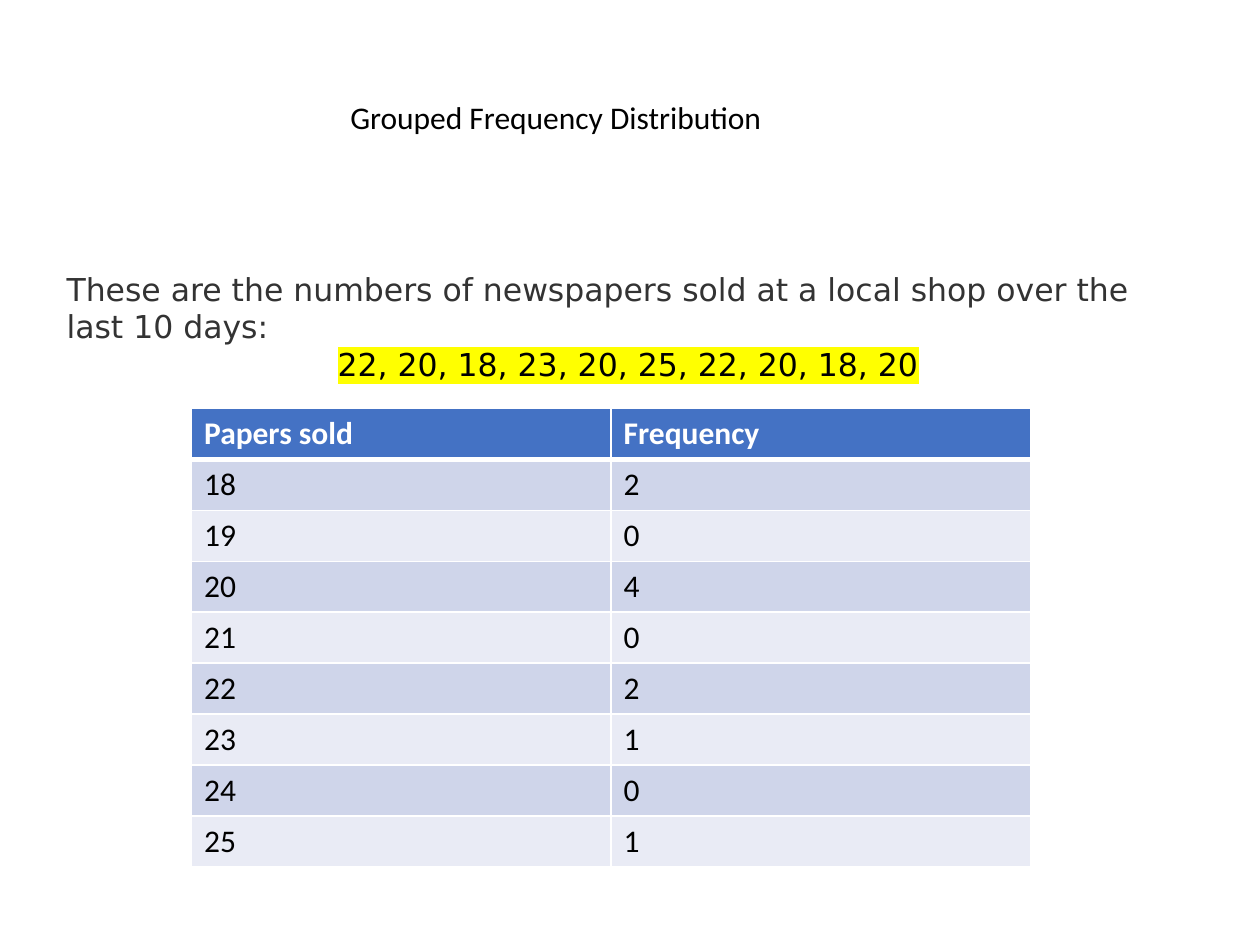
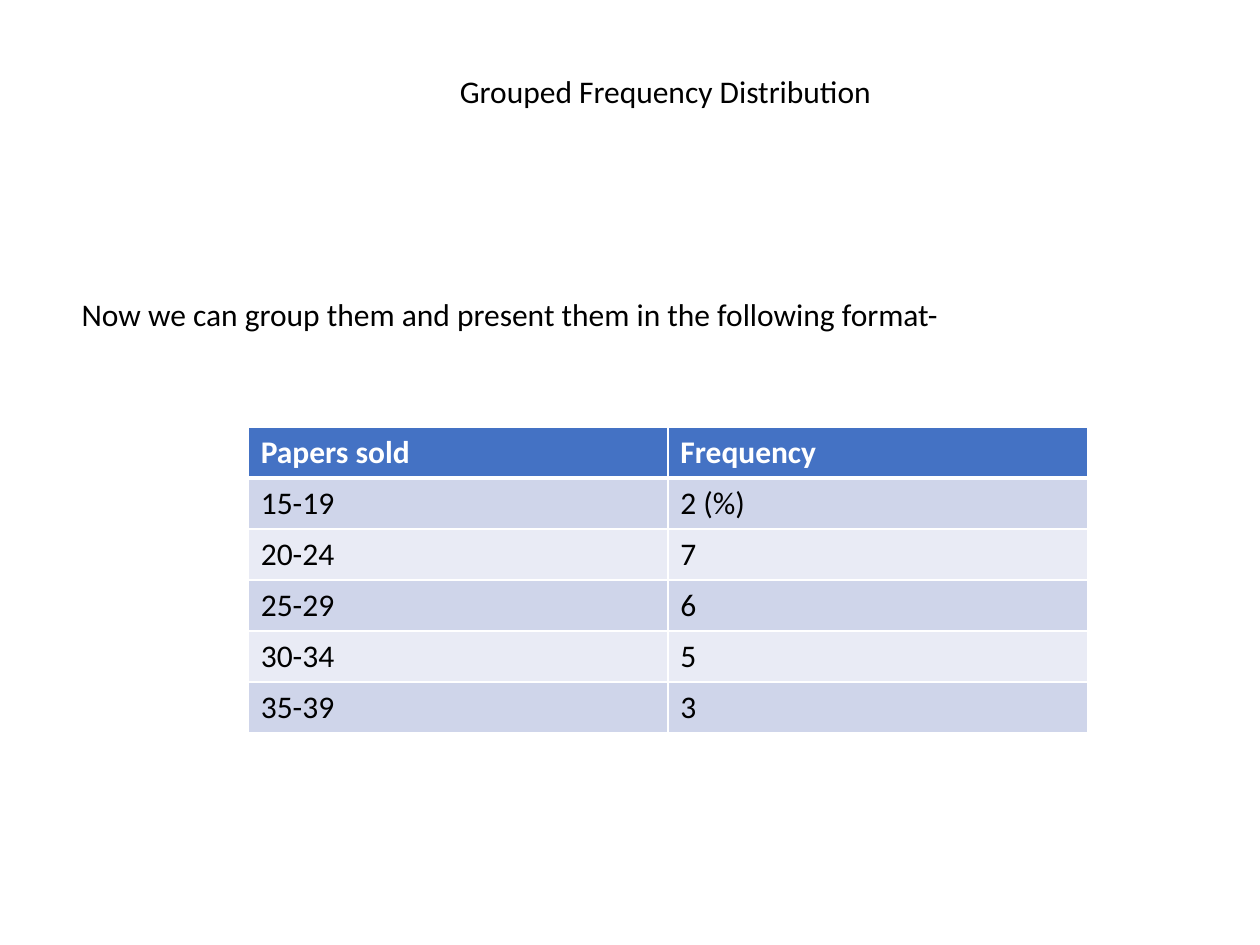
from pptx import Presentation
from pptx.dml.color import RGBColor
from pptx.enum.text import MSO_ANCHOR, MSO_AUTO_SIZE, PP_ALIGN
from pptx.oxml import parse_xml
from pptx.oxml.ns import nsdecls, qn
from pptx.util import Inches, Pt

BLACK = RGBColor(0x00, 0x00, 0x00)
DARK_GREY = RGBColor(0x33, 0x33, 0x33)
WHITE = RGBColor(0xFF, 0xFF, 0xFF)
YELLOW = RGBColor(0xFF, 0xFF, 0x00)
HEADER_BLUE = RGBColor(0x44, 0x72, 0xC4)
BANDS = (RGBColor(0xCF, 0xD5, 0xEA), RGBColor(0xE9, 0xEB, 0xF5))
TABLE_FONT = "Calibri"
INTRO_FONT = "DejaVu Sans"
TEXT_SIZE = Pt(18)
TITLE = "Grouped Frequency Distribution"
HEADINGS = ("Papers sold", "Frequency")
COLUMN_WIDTH = 3.33
ROW_HEIGHT = 0.405
TITLE_ONLY_LAYOUT = 5

DAILY_COUNTS = [("18", "2"), ("19", "0"), ("20", "4"), ("21", "0"),
                ("22", "2"), ("23", "1"), ("24", "0"), ("25", "1")]
GROUPED_COUNTS = [("15-19", "2 (%)"), ("20-24", "7"), ("25-29", "6"),
                  ("30-34", "5"), ("35-39", "3")]


def style_run(para, color, font=TABLE_FONT, bold=False):
    """Format the only run of a paragraph and return it."""
    span = para.runs[0]
    span.font.size = TEXT_SIZE
    span.font.name = font
    span.font.bold = bold
    span.font.color.rgb = color
    return span


def highlight(span, color):
    """Put a marker colour behind a run that already has a text colour."""
    mark = parse_xml(f'<a:highlight {nsdecls("a")}><a:srgbClr val="{color}"/></a:highlight>')
    span.font._element.find(qn("a:solidFill")).addnext(mark)


def add_titled_page(deck, left, top):
    """Add a page with the shared title at the given corner."""
    page = deck.slides.add_slide(deck.slide_layouts[TITLE_ONLY_LAYOUT])
    title = page.shapes.title
    title.left, title.top = Inches(left), Inches(top)
    title.width, title.height = Inches(3.51), Inches(0.4)
    frame = title.text_frame
    frame.text = TITLE
    frame.auto_size = MSO_AUTO_SIZE.NONE
    frame.vertical_anchor = MSO_ANCHOR.TOP
    frame.paragraphs[0].alignment = PP_ALIGN.LEFT
    style_run(frame.paragraphs[0], BLACK)
    return page


def add_intro(page, box, text, color, font):
    """Add the sentence above the table and return its text frame."""
    frame = page.shapes.add_textbox(*map(Inches, box)).text_frame
    frame.word_wrap = True
    frame.text = text
    style_run(frame.paragraphs[0], color, font)
    return frame


def add_border(cell, side, width):
    """Draw one white cell edge, with the width in points."""
    cell._tc.get_or_add_tcPr().append(parse_xml(
        f'<a:ln{side} {nsdecls("a")} w="{Pt(width)}"><a:solidFill>'
        f'<a:srgbClr val="{WHITE}"/></a:solidFill></a:ln{side}>'))


def style_cell(cell, row):
    """Format a cell as a heading in row 0 and as a banded value below."""
    is_heading = row == 0
    add_border(cell, "L", 1)
    add_border(cell, "R", 1)
    if is_heading:
        add_border(cell, "T", 1)
    add_border(cell, "B", 3 if is_heading else 1)
    cell.fill.solid()
    cell.fill.fore_color.rgb = HEADER_BLUE if is_heading else BANDS[(row - 1) % 2]
    style_run(cell.text_frame.paragraphs[0], WHITE if is_heading else BLACK, bold=is_heading)


def add_frequency_table(page, left, top, counts):
    """Add a two-column frequency table under the shared headings."""
    rows = [HEADINGS, *counts]
    table = page.shapes.add_table(
        len(rows), len(HEADINGS), Inches(left), Inches(top),
        Inches(COLUMN_WIDTH * len(HEADINGS)), Inches(ROW_HEIGHT * len(rows))).table
    for column in table.columns:
        column.width = Inches(COLUMN_WIDTH)
    for row, values in enumerate(rows):
        table.rows[row].height = Inches(ROW_HEIGHT)
        for column, value in enumerate(values):
            cell = table.cell(row, column)
            cell.text = value
            style_cell(cell, row)


def add_daily_page(deck):
    """Build the page that counts each value."""
    page = add_titled_page(deck, 2.68, 0.73)
    frame = add_intro(
        page, (0.43, 2.09, 9.11, 1.31),
        "These are the numbers of newspapers sold at a local shop over the last 10 days:",
        DARK_GREY, INTRO_FONT)
    sales = frame.add_paragraph()
    sales.text = "22, 20, 18, 23, 20, 25, 22, 20, 18, 20"
    sales.alignment = PP_ALIGN.CENTER
    highlight(style_run(sales, BLACK, INTRO_FONT), YELLOW)
    add_frequency_table(page, 1.52, 3.24, DAILY_COUNTS)


def add_grouped_page(deck):
    """Build the page that counts values in groups."""
    page = add_titled_page(deck, 3.55, 0.52)
    add_intro(
        page, (0.55, 2.29, 7.09, 1.01),
        "Now we can group them and present them in the following format-",
        BLACK, TABLE_FONT)
    add_frequency_table(page, 1.97, 3.39, GROUPED_COUNTS)


def main():
    """Build and save the deck."""
    deck = Presentation()
    deck.slide_width, deck.slide_height = Inches(10), Inches(7.5)
    add_daily_page(deck)
    add_grouped_page(deck)
    deck.save("out.pptx")


if __name__ == "__main__":
    main()
